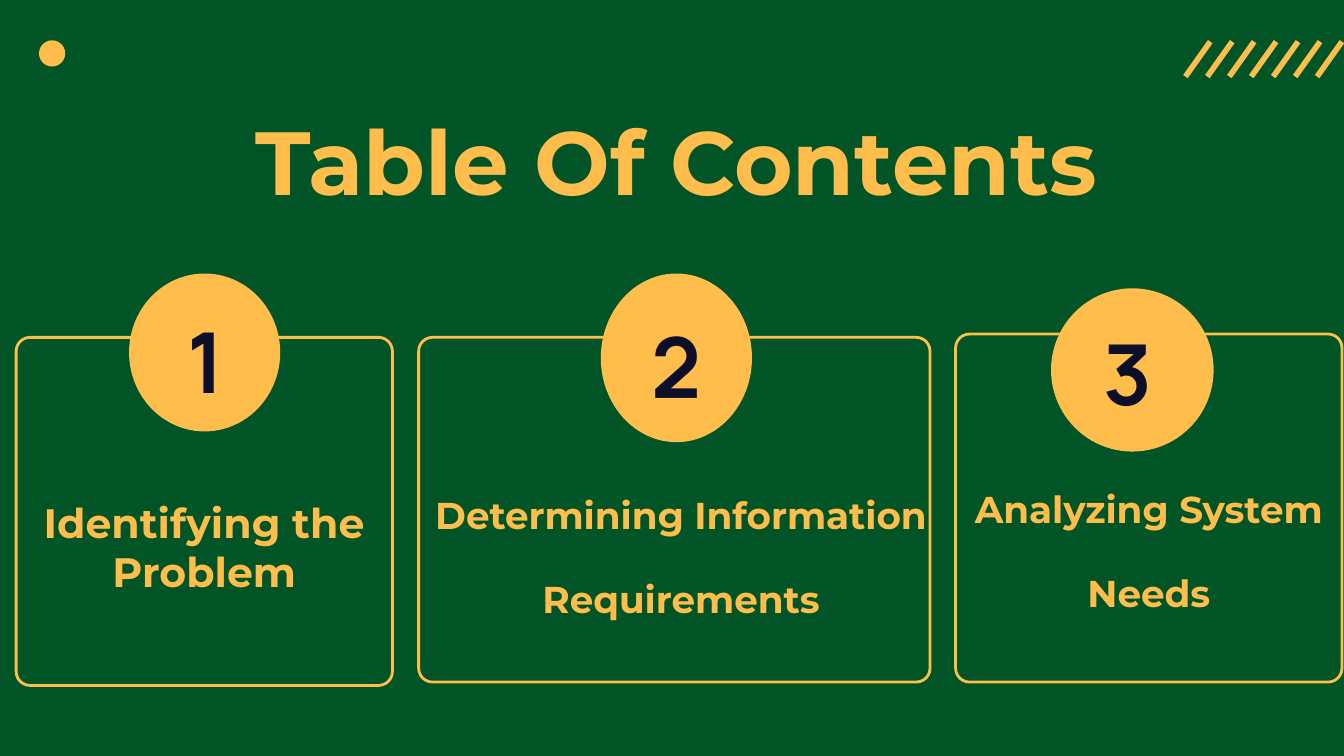
from pptx import Presentation
from pptx.dml.color import RGBColor
from pptx.enum.shapes import MSO_CONNECTOR, MSO_SHAPE
from pptx.enum.text import MSO_ANCHOR, MSO_AUTO_SIZE, PP_ALIGN
from pptx.oxml.ns import qn
from pptx.util import Inches, Pt
from lxml.etree import SubElement

COLS, ROWS = 20, 11.25
COLORS = {"green": "005426", "gold": "FFBD4C", "navy": "0C0F27"}
TITLE = {"name": "Montserrat", "size": Pt(96), "bold": True}
DIGIT = {"name": "Manrope", "size": Pt(90), "bold": True}
CARDS = [
    {"box": (0.24, 5.02, 5.6, 5.18), "badge": (1.68, -0.95, 2.25, 2.35),
     "digit": (2.48, -1.02, 0.7, 2.4), "label": (0, 1.04, 5.6, 4.14),
     "text": "Identifying the Problem", "size": 44, "spacing": 1.0},
    {"box": (6.23, 5.02, 7.61, 5.13), "badge": (2.71, -0.95, 2.25, 2.51),
     "digit": (3.41, -0.94, 0.85, 2.4), "label": (-0.18, 0.31, 8.17, 5.32),
     "text": "Determining Information Requirements", "size": 40, "spacing": 1.87},
    {"box": (14.22, 4.97, 5.75, 5.18), "badge": (1.42, -0.68, 2.42, 2.43),
     "digit": (2.12, -0.78, 0.9, 2.4), "label": (0, 0.68, 5.75, 4.51),
     "text": "Analyzing System Needs", "size": 40, "spacing": 1.87},
]


def rgb(name):
    return RGBColor.from_string(COLORS[name])


def within(box, part):
    x, y, w, h = part
    return [Inches(v) for v in (box[0] + x, box[1] + y, w, h)]


def write(tf, text, font, color, spacing, inset=0, anchor=MSO_ANCHOR.TOP):
    frame = {"word_wrap": True, "auto_size": MSO_AUTO_SIZE.NONE, "vertical_anchor": anchor}
    for side in ("left", "top", "right", "bottom"):
        frame[f"margin_{side}"] = Inches(inset)
    for key, value in frame.items():
        setattr(tf, key, value)
    p = tf.paragraphs[0]
    p.alignment, p.line_spacing = PP_ALIGN.CENTER, spacing
    r = p.add_run()
    r.text = text
    for key, value in font.items():
        setattr(r.font, key, value)
    r.font.color.rgb = rgb(color)


def add_disc(s, place):
    sp = s.shapes.add_shape(MSO_SHAPE.OVAL, *place)
    sp.shadow.inherit = False
    sp.fill.solid()
    sp.fill.fore_color.rgb = rgb("gold")
    sp.line.fill.background()


def add_title(s, box):
    sp = s.shapes.title
    sp.left, sp.top, sp.width, sp.height = [Inches(v) for v in box]
    write(sp.text_frame, "Table Of Contents", TITLE, "gold", 1.2)


def add_card(s, number, card):
    box = card["box"]
    sp = s.shapes.add_shape(MSO_SHAPE.ROUNDED_RECTANGLE, *within(box, (0, 0, *box[2:])))
    sp.adjustments[0] = 0.04
    sp.shadow.inherit = False
    sp.fill.background()
    sp.line.color.rgb = rgb("gold")
    sp.line.width = Pt(3)
    add_disc(s, within(box, card["badge"]))
    digit = s.shapes.add_textbox(*within(box, card["digit"]))
    write(digit.text_frame, str(number), DIGIT, "navy", 1.4)
    label = s.shapes.add_textbox(*within(box, card["label"]))
    font = {**TITLE, "size": Pt(card["size"])}
    write(label.text_frame, card["text"], font, "gold", card["spacing"], 0.06, MSO_ANCHOR.MIDDLE)


def add_stripes(s, box, count=7, lean=0.37):
    x, y, w, h = box
    step = (w - lean) / (count - 1)
    for i in range(count):
        left = x + i * step
        ends = [Inches(v) for v in (left, y + h, left + lean, y)]
        line = s.shapes.add_connector(MSO_CONNECTOR.STRAIGHT, *ends)
        line.line.color.rgb = rgb("gold")
        line.line.width = Pt(6)
        SubElement(line._element.spPr, qn("a:effectLst"))


def main():
    prs = Presentation()
    prs.slide_width, prs.slide_height = Inches(COLS), Inches(ROWS)
    s = prs.slides.add_slide(prs.slide_layouts[5])
    s.background.fill.solid()
    s.background.fill.fore_color.rgb = rgb("green")
    add_disc(s, within((0, 0), (0.58, 0.6, 0.39, 0.39)))
    add_title(s, (2.83, 1.26, 14.47, 1.94))
    for number, card in enumerate(CARDS, 1):
        add_card(s, number, card)
    add_stripes(s, (17.64, 0.62, 2.33, 0.52))
    prs.save("out.pptx")


if __name__ == "__main__":
    main()
